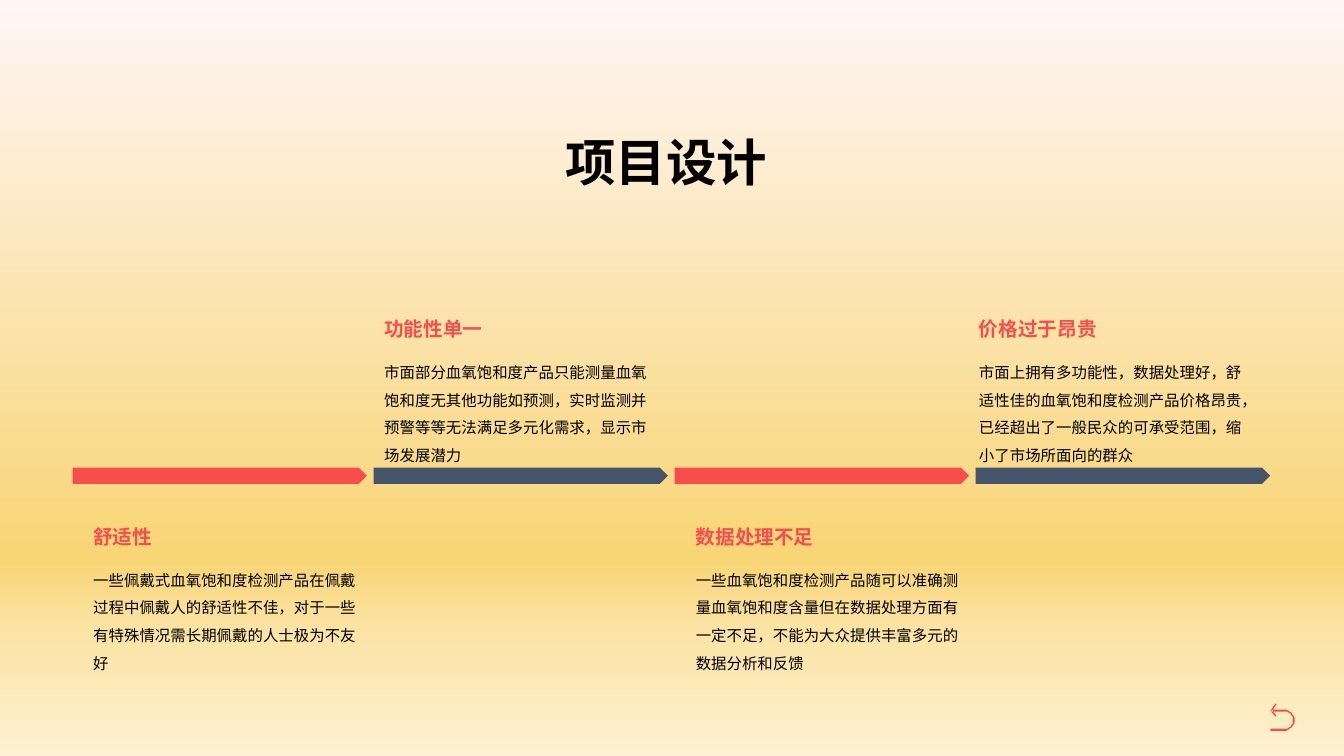
from dataclasses import dataclass
from math import cos, pi, sin

from lxml.etree import SubElement
from pptx import Presentation
from pptx.dml.color import RGBColor
from pptx.enum.shapes import MSO_SHAPE as Shape
from pptx.enum.text import MSO_ANCHOR as Anchor, PP_ALIGN as Align
from pptx.oxml.ns import qn
from pptx.slide import Slide
from pptx.util import Inches, Pt

FONT = "Roboto"
RED, NAVY, BLACK = "F84D4D", "44546A", "000000"
SLIDE_WIDTH, SLIDE_HEIGHT = Inches(13.33), Inches(7.5)

# Timeline grid, in percent of the slide's size
BAR_LEFT, BAR_PITCH, BAR_WIDTH = 5.4, 22.4, 21.9
BAR_TOP, BAR_HEIGHT = 61.87, 2.13
UPPER_ROW, LOWER_ROW, BODY_OFFSET = 41.2, 68.67, 4.93

BACKGROUND_STOPS = [(0, "FFF6F6"), (74, "F8D575"), (83, "FBE3A3"), (100, "FDF1D1")]


@dataclass
class Box:
    left: float
    top: float
    width: float
    height: float

    def place(self) -> tuple[int, int, int, int]:
        return across(self.left), down(self.top), across(self.width), down(self.height)


@dataclass
class TextStyle:
    size: float
    color: str = BLACK
    bold: bool = False
    align: Align = Align.LEFT
    anchor: Anchor = Anchor.TOP
    line_spacing: float = 1.0


@dataclass
class Step:
    heading: str
    body: str
    text_left: float
    row: float
    bar_color: str


TITLE = TextStyle(36, bold=True, align=Align.CENTER, anchor=Anchor.BOTTOM)
HEADING = TextStyle(14, RED, bold=True, anchor=Anchor.MIDDLE)
BODY = TextStyle(11, line_spacing=1.5)

STEPS = [
    Step("舒适性",
         "一些佩戴式血氧饱和度检测产品在佩戴过程中佩戴人的舒适性不佳，对于一些有特殊情况需长期佩戴的人士极为不友好",
         6.2, LOWER_ROW, RED),
    Step("功能性单一",
         "市面部分血氧饱和度产品只能测量血氧饱和度无其他功能如预测，实时监测并预警等等无法满足多元化需求，显示市场发展潜力",
         27.85, UPPER_ROW, NAVY),
    Step("数据处理不足",
         "一些血氧饱和度检测产品随可以准确测量血氧饱和度含量但在数据处理方面有一定不足，不能为大众提供丰富多元的数据分析和反馈",
         51.03, LOWER_ROW, RED),
    Step("价格过于昂贵",
         "市面上拥有多功能性，数据处理好，舒适性佳的血氧饱和度检测产品价格昂贵，已经超出了一般民众的可承受范围，缩小了市场所面向的群众",
         72.1, UPPER_ROW, NAVY),
]


def across(percent: float) -> int:
    return round(SLIDE_WIDTH * percent / 100)


def down(percent: float) -> int:
    return round(SLIDE_HEIGHT * percent / 100)


def color(value: str) -> RGBColor:
    return RGBColor.from_string(value)


def paint(shape, fill: str) -> None:
    shape.shadow.inherit = False
    shape.fill.solid()
    shape.fill.fore_color.rgb = color(fill)
    shape.line.fill.background()


def paint_background(slide: Slide) -> None:
    slide.background.fill.gradient()
    gradient = slide.element.find(".//" + qn("a:gradFill"))
    gradient.find(qn("a:lin")).set("ang", str(90 * 60000))
    stop_list = gradient.find(qn("a:gsLst"))
    stop_list.clear()
    for percent, value in BACKGROUND_STOPS:
        stop = SubElement(stop_list, qn("a:gs"), pos=str(percent * 1000))
        SubElement(stop, qn("a:srgbClr"), val=value)


def add_text(slide: Slide, text: str, box: Box, style: TextStyle) -> None:
    frame = slide.shapes.add_textbox(*box.place()).text_frame
    frame.word_wrap = True
    frame.vertical_anchor = style.anchor
    paragraph = frame.paragraphs[0]
    paragraph.alignment = style.align
    paragraph.line_spacing = style.line_spacing
    run = paragraph.add_run()
    run.text = text
    run.font.name = FONT
    run.font.size = Pt(style.size)
    run.font.bold = style.bold
    run.font.color.rgb = color(style.color)


def add_step(slide: Slide, index: int, step: Step) -> None:
    bar = Box(BAR_LEFT + index * BAR_PITCH, BAR_TOP, BAR_WIDTH, BAR_HEIGHT)
    paint(slide.shapes.add_shape(Shape.PENTAGON, *bar.place()), step.bar_color)
    add_text(slide, step.heading, Box(step.text_left, step.row, 16, 4.53), HEADING)
    body = Box(step.text_left, step.row + BODY_OFFSET, 21.08, 15.73)
    add_text(slide, step.body, body, BODY)


def half_circle(center_x: float, center_y: float, radius: float) -> list[tuple[float, float]]:
    angles = [pi * (step / 16 - 0.5) for step in range(17)]
    return [(center_x + radius * cos(a), center_y + radius * sin(a)) for a in angles]


def add_return_arrow(slide: Slide) -> None:
    # Icon units are hundredths of an inch
    unit = SLIDE_HEIGHT / 750
    outer = half_circle(1273.5, 714.5, 10.5)
    inner = half_circle(1273.5, 714.5, 8.8)
    hook = [(1261, 704), *outer, (1260.5, 725), (1260.5, 723.3), *reversed(inner), (1261, 705.7)]
    head = [(1265, 698.3), (1259.8, 704.8), (1265, 710.7), (1266.2, 709.6),
            (1262, 704.8), (1266.2, 699.4)]
    builder = slide.shapes.build_freeform(*hook[0], scale=unit)
    builder.add_line_segments(hook[1:], close=True)
    builder.move_to(*head[0])
    builder.add_line_segments(head[1:], close=True)
    paint(builder.convert_to_shape(), RED)


def main() -> None:
    presentation = Presentation()
    presentation.slide_width, presentation.slide_height = SLIDE_WIDTH, SLIDE_HEIGHT
    slide = presentation.slides.add_slide(presentation.slide_layouts[6])
    paint_background(slide)

    # Title
    add_text(slide, "项目设计", Box(4.58, 16.53, 89.95, 9.47), TITLE)

    # Timeline bars with their texts
    for index, step in enumerate(STEPS):
        add_step(slide, index, step)

    # Return icon
    add_return_arrow(slide)
    presentation.save("out.pptx")


if __name__ == "__main__":
    main()
